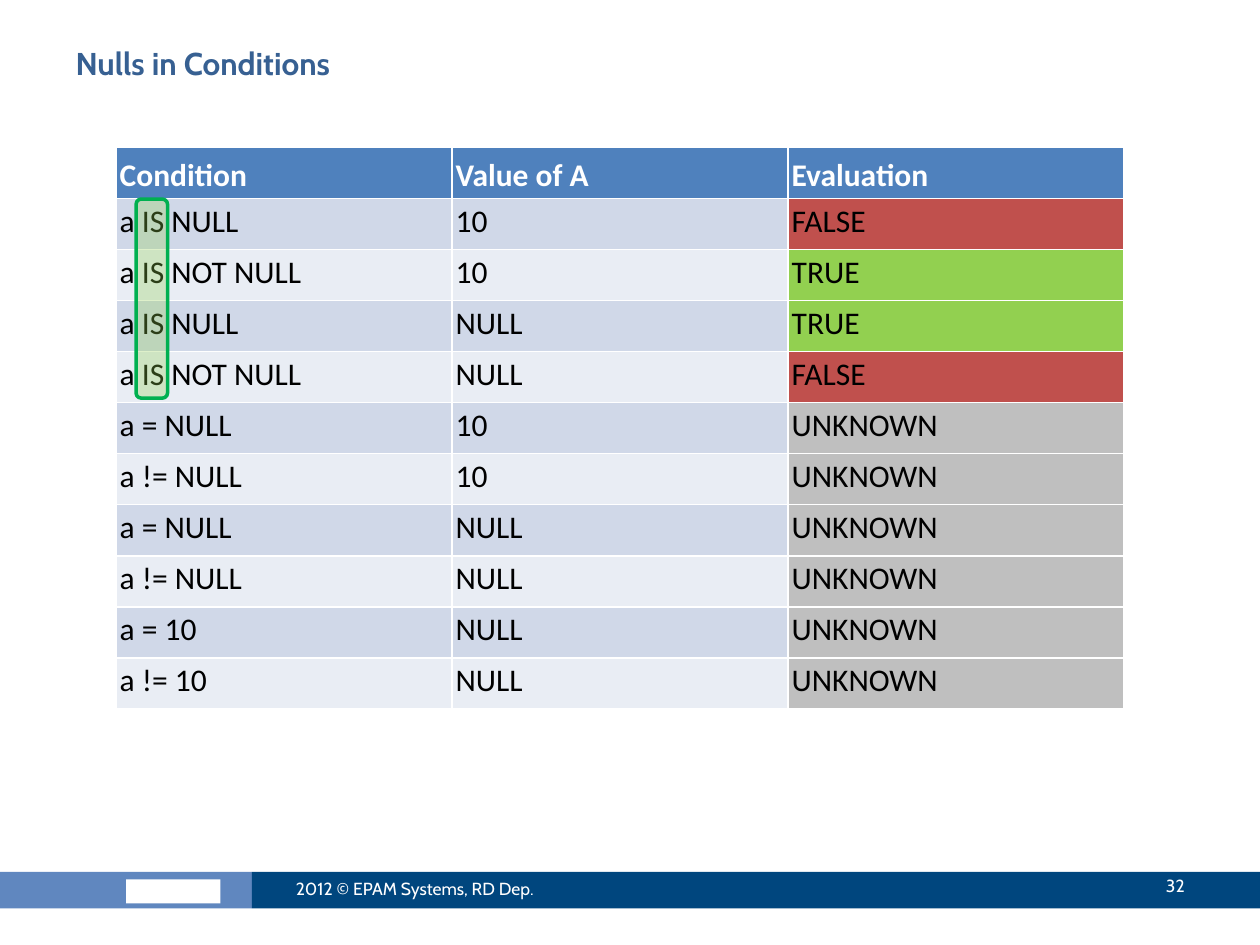
"""Build the "Nulls in Conditions" slide: a truth table of NULL comparisons."""
from dataclasses import dataclass

import pptx
import pptx.dml.color
import pptx.enum.shapes
import pptx.enum.text
import pptx.oxml
import pptx.oxml.ns
import pptx.util

TITLE = "Nulls in Conditions"
COPYRIGHT = "2012 © EPAM Systems, RD Dep."
PAGE = "32"
HEADER = ("Condition", "Value of A", "Evaluation")
ROWS = [
    ("a IS NULL", "10", "FALSE"),
    ("a IS NOT NULL", "10", "TRUE"),
    ("a IS NULL", "NULL", "TRUE"),
    ("a IS NOT NULL", "NULL", "FALSE"),
    ("a = NULL", "10", "UNKNOWN"),
    ("a != NULL", "10", "UNKNOWN"),
    ("a = NULL", "NULL", "UNKNOWN"),
    ("a != NULL", "NULL", "UNKNOWN"),
    ("a = 10", "NULL", "UNKNOWN"),
    ("a != 10", "NULL", "UNKNOWN"),
]
RESULT_FILLS = {"FALSE": "C0504D", "TRUE": "92D050", "UNKNOWN": "BFBFBF"}


@dataclass(frozen=True)
class Theme:
    title: str = "376092"
    header: str = "4F81BD"
    bands: tuple = ("D0D8E8", "E9EDF4")
    text: str = "000000"
    white: str = "FFFFFF"
    bar_light: str = "6087BF"
    bar_dark: str = "00467E"
    mark_fill: str = "92D050"
    mark_line: str = "00B050"
    heading_font: str = "Cabin"
    table_font: str = "Calibri"
    large: int = 18
    small: int = 10


THEME = Theme()
WIDTH, HEIGHT = 10, 7.5
TABLE_LEFT, TABLE_TOP, TABLE_WIDTH, TABLE_HEIGHT = 0.92, 1.17, 8, 4.46
BAR_TOP, BAR_HEIGHT, BAR_SPLIT = 6.92, 0.29, WIDTH / 5
Inches = pptx.util.Inches
Align = pptx.enum.text.PP_ALIGN
Anchor = pptx.enum.text.MSO_ANCHOR
Shape = pptx.enum.shapes.MSO_SHAPE


def rgb(color):
    return pptx.dml.color.RGBColor.from_string(color)


def write(tf, text, font, size, color, bold=False, align=Align.LEFT):
    tf.text = text
    p = tf.paragraphs[0]
    p.alignment = align
    f = p.runs[0].font
    f.name, f.size, f.bold = font, pptx.util.Pt(size), bold
    f.color.rgb = rgb(color)


def add_block(slide, kind, box, color):
    sp = slide.shapes.add_shape(kind, *map(Inches, box))
    sp.shadow.inherit = False
    sp.fill.solid()
    sp.fill.fore_color.rgb = rgb(color)
    sp.line.fill.background()
    return sp


def add_footer_text(slide, box, text, align):
    tf = slide.shapes.add_textbox(*map(Inches, box)).text_frame
    tf.word_wrap = True
    tf.vertical_anchor = Anchor.MIDDLE
    write(tf, text, THEME.heading_font, THEME.small, THEME.white, align=align)


def add_footer(slide):
    add_block(slide, Shape.RECTANGLE, (0, BAR_TOP, BAR_SPLIT, BAR_HEIGHT), THEME.bar_light)
    add_block(slide, Shape.RECTANGLE, (1, 6.98, 0.75, 0.19), THEME.white)
    add_block(slide, Shape.RECTANGLE, (BAR_SPLIT, BAR_TOP, WIDTH - BAR_SPLIT, BAR_HEIGHT), THEME.bar_dark)
    add_footer_text(slide, (2.25, 6.85, 2.67, 0.4), COPYRIGHT, Align.LEFT)
    add_footer_text(slide, (8.42, 6.83, 1.08, 0.4), PAGE, Align.RIGHT)


def add_title(slide):
    title = slide.shapes.title
    title.left, title.top, title.width, title.height = map(Inches, (0.5, 0.3, 9, 0.78))
    tf = title.text_frame
    tf.vertical_anchor = Anchor.TOP
    write(tf, TITLE, THEME.heading_font, THEME.large, THEME.title, bold=True)


def add_truth_table(slide):
    box = map(Inches, (TABLE_LEFT, TABLE_TOP, TABLE_WIDTH, TABLE_HEIGHT))
    table = slide.shapes.add_table(len(ROWS) + 1, len(HEADER), *box).table
    for i, row in enumerate([HEADER, *ROWS]):
        is_header = i == 0
        band = THEME.header if is_header else THEME.bands[(i - 1) % 2]
        for j, text in enumerate(row):
            cell = table.cell(i, j)
            cell.margin_left = cell.margin_right = Inches(0.03)
            cell.margin_top = cell.margin_bottom = Inches(0.03)
            cell.vertical_anchor = Anchor.BOTTOM if is_header else Anchor.TOP
            cell.fill.solid()
            cell.fill.fore_color.rgb = rgb(RESULT_FILLS.get(text, band))
            color = THEME.white if is_header else THEME.text
            write(cell.text_frame, text, THEME.table_font, THEME.large, color, bold=is_header)


def add_is_marker(slide):
    sp = add_block(slide, Shape.ROUNDED_RECTANGLE, (1.08, 1.58, 0.25, 1.58), THEME.mark_fill)
    sp.line.color.rgb = rgb(THEME.mark_line)
    sp.line.width = pptx.util.Pt(2)
    qn = pptx.oxml.ns.qn
    color = sp.element.spPr.find(qn("a:solidFill")).find(qn("a:srgbClr"))
    ns = pptx.oxml.ns.nsdecls("a")
    color.append(pptx.oxml.parse_xml(f'<a:alpha {ns} val="30000"/>'))


def main():
    prs = pptx.Presentation()
    prs.slide_width, prs.slide_height = Inches(WIDTH), Inches(HEIGHT)
    slide = prs.slides.add_slide(prs.slide_layouts.get_by_name("Title Only"))
    add_footer(slide)
    add_truth_table(slide)
    add_title(slide)
    add_is_marker(slide)
    prs.save("out.pptx")


if __name__ == "__main__":
    main()
